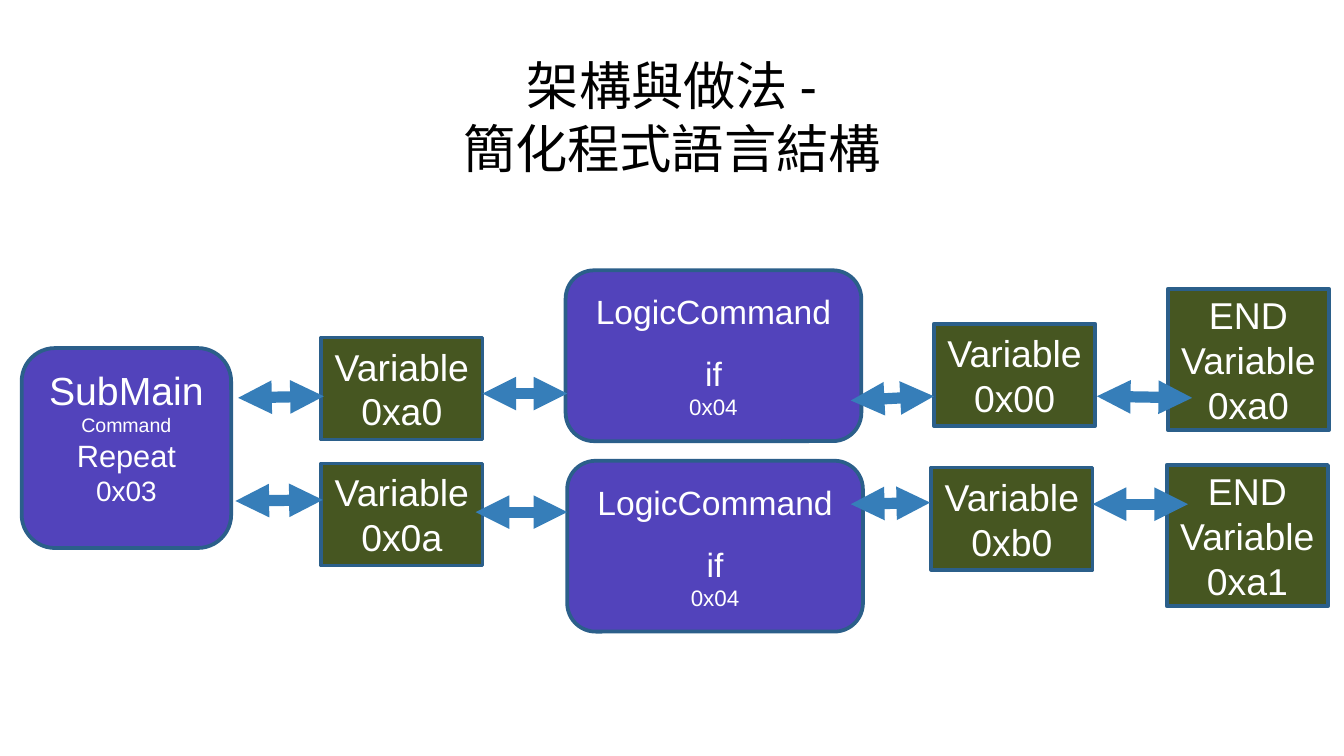
from lxml import etree
from pptx import Presentation
from pptx.dml.color import RGBColor
from pptx.enum.shapes import MSO_CONNECTOR, MSO_SHAPE
from pptx.enum.text import MSO_ANCHOR, PP_ALIGN
from pptx.oxml.ns import qn
from pptx.util import Cm, Pt

RECTANGLE = MSO_SHAPE.RECTANGLE
ROUNDED = MSO_SHAPE.ROUNDED_RECTANGLE
STRAIGHT = MSO_CONNECTOR.STRAIGHT
CENTER = PP_ALIGN.CENTER
MIDDLE = MSO_ANCHOR.MIDDLE
BOTTOM = MSO_ANCHOR.BOTTOM

BLACK = RGBColor(0x00, 0x00, 0x00)
WHITE = RGBColor(0xFF, 0xFF, 0xFF)
PURPLE = RGBColor(0x52, 0x43, 0xBB)
GREEN = RGBColor(0x46, 0x56, 0x21)
OUTLINE = RGBColor(0x2B, 0x5F, 0x8A)
ARROW_BLUE = RGBColor(0x36, 0x7E, 0xB9)


def write_paragraph(paragraph, text, *, size, color=WHITE, font="Arial", before=0):
    """Fill one centred paragraph; a vertical tab in the text breaks the line."""
    paragraph.text = text
    paragraph.alignment = CENTER
    paragraph.space_before = Pt(before)
    for run in paragraph.runs:
        run.font.name = font
        run.font.size = Pt(size)
        run.font.color.rgb = color


class Diagram:
    """Holds the style and the current slide."""

    line_width = Pt(2)
    arrow_width = Pt(6)

    def __init__(self, slide):
        self.slide = slide

    def title(self, text, left, top, width, height):
        shape = self.slide.shapes.add_textbox(Cm(left), Cm(top), Cm(width), Cm(height))
        frame = shape.text_frame
        frame.word_wrap = True
        frame.vertical_anchor = BOTTOM
        frame.margin_left = frame.margin_right = Cm(0.25)
        frame.margin_top = frame.margin_bottom = Cm(0.25)
        write_paragraph(frame.paragraphs[0], text, size=28, color=BLACK)

    def box(self, kind, fill, left, top, width, height, lines, bottom_margin=0.1):
        """Draw a box; each line is a text and its keyword format."""
        shape = self.slide.shapes.add_shape(
            kind, Cm(left), Cm(top), Cm(width), Cm(height))
        shape.shadow.inherit = False
        shape.fill.solid()
        shape.fill.fore_color.rgb = fill
        shape.line.color.rgb = OUTLINE
        shape.line.width = self.line_width
        frame = shape.text_frame
        frame.word_wrap = True
        frame.vertical_anchor = MIDDLE
        frame.margin_left = frame.margin_right = Cm(0.18)
        frame.margin_top = Cm(0.1)
        frame.margin_bottom = Cm(bottom_margin)
        for index, (text, style) in enumerate(lines):
            paragraph = frame.add_paragraph() if index else frame.paragraphs[0]
            write_paragraph(paragraph, text, **style)

    def command(self, left, top):
        lines = [("LogicCommand", {"size": 18}),
                 ("if", {"size": 18, "before": 11.5}),
                 ("0x04", {"size": 12})]
        self.box(ROUNDED, PURPLE, left, top, 5.59, 3.23, lines)

    def variable(self, left, top, height, *texts):
        lines = [(text, {"size": 20}) for text in texts]
        self.box(RECTANGLE, GREEN, left, top, 3.05, height, lines)

    def arrow(self, start_x, start_y, end_x, end_y):
        connector = self.slide.shapes.add_connector(
            STRAIGHT, Cm(start_x), Cm(start_y), Cm(end_x), Cm(end_y))
        connector.line.color.rgb = ARROW_BLUE
        connector.line.width = self.arrow_width
        line = connector.line._get_or_add_ln()
        for end in ("a:headEnd", "a:tailEnd"):
            etree.SubElement(line, qn(end), type="triangle")
        etree.SubElement(connector._element.spPr, qn("a:effectLst"))


def main():
    presentation = Presentation()
    presentation.slide_width = Cm(25.4)
    presentation.slide_height = Cm(14.29)
    diagram = Diagram(presentation.slides.add_slide(presentation.slide_layouts[6]))

    diagram.title("架構與做法 -\v簡化程式語言結構", 1.27, 0.58, 22.86, 3.05)

    # Main routine, with its text raised a little
    diagram.box(ROUNDED, PURPLE, 0.41, 6.58, 3.96, 3.78,
                [("SubMain", {"size": 21}), ("Command", {"size": 10.5}),
                 ("Repeat", {"size": 16.5}), ("0x03", {"size": 15})],
                bottom_margin=0.53)

    # Logic commands
    for left, top in ((10.69, 5.11), (10.72, 8.71)):
        diagram.command(left, top)

    # Variables
    for left, top, value in ((6.07, 6.38, "0xa0"), (6.07, 8.76, "0x0a"),
                             (17.65, 6.12, "0x00"), (17.6, 8.84, "0xb0")):
        diagram.variable(left, top, 1.93, "Variable", value)

    # End variables
    for left, top, value in ((22.07, 5.46, "0xa0"), (22.05, 8.79, "0xa1")):
        diagram.variable(left, top, 2.67, "END", "Variable", value)

    # Arrows of the upper row, then of the lower row
    for ends in ((4.5, 7.52, 6.12, 7.49), (9.12, 7.44, 10.72, 7.44),
                 (16.08, 7.57, 17.65, 7.49), (20.73, 7.49, 22.53, 7.52),
                 (4.45, 9.47, 6.1, 9.45), (8.99, 9.68, 10.72, 9.68),
                 (16.08, 9.53, 17.58, 9.5), (20.65, 9.53, 22.45, 9.53)):
        diagram.arrow(*ends)

    presentation.save("out.pptx")


if __name__ == "__main__":
    main()
